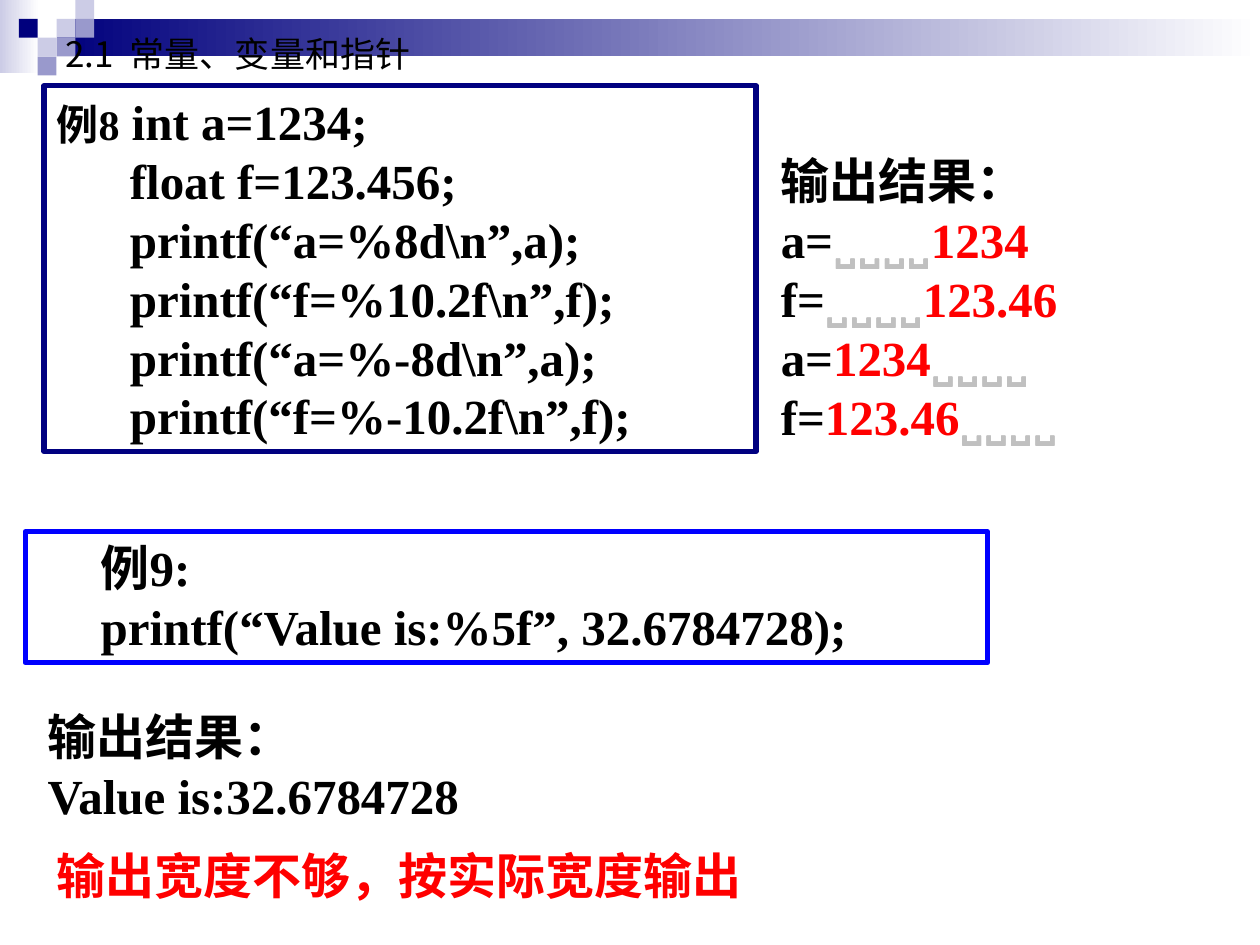
from pptx import Presentation
from pptx import util as u
from pptx.dml.color import RGBColor
from pptx.enum import shapes, text

COLORS = {
    "black": "000000", "red": "FF0000", "grey": "C0C0C0", "white": "FFFFFF",
    "pale": "CCCCE6", "lilac": "9999CC", "deep": "00007D",
    "navy": "000080", "blue": "0000FF",
}
BLANK = "̺" * 5
BLANKS = "  ".join([BLANK] * 4)
CODE_INDENT = " " * 6
TILE = 0.38


def rgb(name):
    return RGBColor.from_string(COLORS[name])


class LessonSlide:
    def __init__(self, slide, font="Times New Roman", size=28, bold=True):
        self.slide = slide
        self.font, self.size, self.bold = font, size, bold

    def block(self, left, top, width, height):
        block = self.slide.shapes.add_shape(
            shapes.MSO_SHAPE.RECTANGLE,
            u.Cm(left), u.Cm(top), u.Cm(width), u.Cm(height))
        block.shadow.inherit = False
        block.line.fill.background()
        return block

    def tile(self, column, row, color):
        tile = self.block(column * TILE, row * TILE, TILE, TILE)
        tile.fill.solid()
        tile.fill.fore_color.rgb = rgb(color)

    def fade(self, left, top, width, height, color):
        """Band running from a colour on the left to white."""
        fill = self.block(left, top, width, height).fill
        fill.gradient()
        fill.gradient_angle = 0
        for stop, name in zip(fill.gradient_stops, (color, "white")):
            stop.color.rgb = rgb(name)

    def framed_text(self, left, top, width, height, border, lines, indent=0):
        frame = self.block(left, top, width, height)
        frame.fill.background()
        frame.line.color.rgb = rgb(border)
        frame.line.width = u.Pt(3)
        self.set_lines(frame.text_frame, lines, indent=indent)

    def plain_text(self, left, top, width, height, lines, wrap=True, **style):
        box = self.slide.shapes.add_textbox(
            u.Cm(left), u.Cm(top), u.Cm(width), u.Cm(height))
        self.set_lines(box.text_frame, lines, wrap, **style)

    def set_lines(self, frame, lines, wrap=True, indent=0, color="black",
                  font=None, size=None, bold=None):
        """Each line is a string or a list of (text, colour, size) parts."""
        size = size or self.size
        frame.word_wrap = wrap
        frame.vertical_anchor = text.MSO_ANCHOR.TOP
        for index, line in enumerate(lines):
            paragraph = frame.add_paragraph() if index else frame.paragraphs[0]
            paragraph.alignment = text.PP_ALIGN.LEFT
            paragraph.line_spacing = u.Pt(1.2 * size)
            if indent:
                paragraph._p.get_or_add_pPr().set("marL", str(u.Cm(indent)))
            paragraph.font.name = font or self.font
            paragraph.font.bold = self.bold if bold is None else bold
            parts = [(line, color, size)] if isinstance(line, str) else line
            for words, part_color, part_size in parts:
                run = paragraph.add_run()
                run.text = words
                run.font.size = u.Pt(part_size)
                run.font.color.rgb = rgb(part_color)

    def output_line(self, label, value, padded_left):
        """One printed value with its padding blanks marked in grey."""
        blanks, number = (BLANKS, "grey", self.size), (value, "red", self.size)
        space = (" ", "grey", self.size)
        name = (label, "black", self.size)
        if padded_left:
            return [name, space, blanks, space, number]
        return [name, number, space, blanks]


def main():
    deck = Presentation()
    deck.slide_width, deck.slide_height = u.Cm(25.4), u.Cm(19.05)
    page = LessonSlide(deck.slides.add_slide(deck.slide_layouts[6]))

    page.fade(0, 0, 0.79, 1.47, "pale")
    page.fade(1.14, 0.38, 24.26, 0.76, "deep")
    for column, row, color in [
        (3, 1, "pale"), (4, 0, "pale"), (4, 1, "lilac"), (2, 2, "pale"),
        (1, 1, "deep"), (3, 2, "lilac"), (2, 3, "lilac"),
    ]:
        page.tile(column, row, color)
    page.plain_text(1.07, 0.53, 7.85, 1.12, ["2.1  常量、变量和指针"], wrap=False,
                    font="Noto Sans CJK SC", size=20, bold=False)

    page.framed_text(0.51, 10.72, 19.4, 2.64, "blue",
                     ["例9:", "printf(“Value is:%5f”, 32.6784728);"],
                     indent=1.27)
    page.plain_text(0.71, 14.12, 8.89, 2.64,
                    ["输出结果：", "Value is:32.6784728"], wrap=False)
    page.plain_text(0.89, 16.92, 15.4, 1.45,
                    ["输出宽度不够，按实际宽度输出"], color="red")

    statements = [
        "float f=123.456;",
        r"printf(“a=%8d\n”,a);",
        r"printf(“f=%10.2f\n”,f);",
        r"printf(“a=%-8d\n”,a);",
        r"printf(“f=%-10.2f\n”,f);",
    ]
    opening = [("例8", "black", 24), (" int a=1234;", "black", 28)]
    page.framed_text(0.89, 1.73, 14.35, 7.37, "navy",
                     [opening] + [CODE_INDENT + code for code in statements])

    results = [page.output_line(label, value, padded_left)
               for padded_left in (True, False)
               for label, value in (("a=", "1234"), ("f=", "123.46"))]
    page.plain_text(15.49, 2.92, 8.2, 6.2, ["输出结果："] + results)

    deck.save("out.pptx")


if __name__ == "__main__":
    main()
